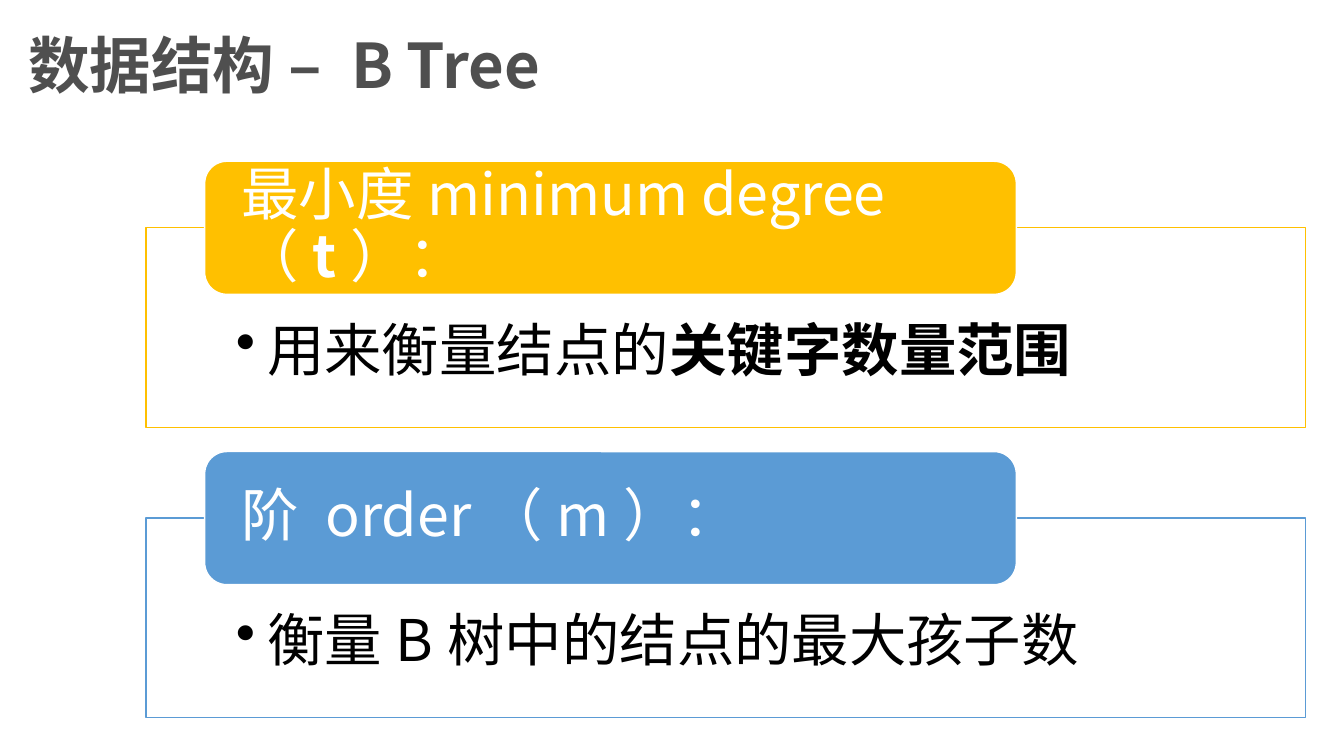
from pptx import Presentation
from pptx.dml.color import RGBColor
from pptx.enum.shapes import MSO_SHAPE as Shape
from pptx.enum.text import MSO_ANCHOR as Anchor, PP_ALIGN as Align
from pptx.oxml.ns import qn
from pptx.util import Inches, Pt
from lxml.etree import SubElement

FONT = "Noto Sans CJK SC"
PANEL_LEFT, PANEL_WIDTH, PANEL_HEIGHT = 1.45, 11.5, 1.98
LABEL_LEFT, LABEL_WIDTH, LABEL_HEIGHT = 2.03, 8.05, 1.32
FIRST_LABEL_TOP, TERM_STEP = 1.6, 2.88

# Each term: accent colour, label runs, definition runs; a run is (text, bold).
TERMS = [
    ("FFC000",
     [("最小度minimum degree（", False), ("t", True), ("）：", False)],
     [("用来衡量结点的", False), ("关键字数量范围", True)]),
    ("5B9BD5",
     [("阶 order（m）：", False)],
     [("衡量B树中的结点的最大孩子数", False)]),
]


def rgb(color):
    return RGBColor.from_string(color)


def write(frame, runs, size, color, anchor, insets):
    """Fill the frame with one paragraph; insets are left, top, right, bottom."""
    frame.word_wrap = True
    frame.vertical_anchor = anchor
    (frame.margin_left, frame.margin_top,
     frame.margin_right, frame.margin_bottom) = map(Inches, insets)
    paragraph = frame.paragraphs[0]
    paragraph.alignment = Align.LEFT
    paragraph.line_spacing = 0.9
    for text, bold in runs:
        run = paragraph.add_run()
        run.text = text
        run.font.size = Pt(size)
        run.font.bold = bold
        run.font.color.rgb = rgb(color)
        run.font.name = FONT
        SubElement(run.font._element, qn("a:ea"), typeface=FONT)
    return paragraph


def add_box(slide, preset, bounds, fill, line):
    box = slide.shapes.add_shape(preset, *map(Inches, bounds))
    box.shadow.inherit = False
    box.fill.solid()
    box.fill.fore_color.rgb = rgb(fill)
    box.line.color.rgb = rgb(line)
    box.line.width = Pt(1)
    return box


def add_bullet(paragraph, indent):
    properties = paragraph._p.get_or_add_pPr()
    properties.set("marL", str(Inches(indent)))
    properties.set("indent", str(Inches(-indent)))
    SubElement(properties, qn("a:buChar"), char="•")


def add_title(slide, text):
    title = slide.shapes.add_textbox(*map(Inches, (0.18, -0.05, 11.5, 1.45)))
    write(title.text_frame, [(text, True)], 44, "4F4F4F", Anchor.MIDDLE,
          (0.1, 0.05, 0.1, 0.05))


def add_term(slide, top, accent, label_runs, definition_runs):
    """Draw a definition panel with its label straddling the top edge."""
    panel_top = top + LABEL_HEIGHT / 2
    panel = add_box(slide, Shape.RECTANGLE,
                    (PANEL_LEFT, panel_top, PANEL_WIDTH, PANEL_HEIGHT),
                    "FFFFFF", accent)
    definition = write(panel.text_frame, definition_runs, 41, "000000",
                       Anchor.TOP, (0.89, 0.93, 0.89, 0.32))
    add_bullet(definition, 0.31)

    label = add_box(slide, Shape.ROUNDED_RECTANGLE,
                    (LABEL_LEFT, top, LABEL_WIDTH, LABEL_HEIGHT),
                    accent, "FFFFFF")
    write(label.text_frame, label_runs, 41, "FFFFFF", Anchor.MIDDLE,
          (0.3, 0, 0.3, 0))


def main():
    deck = Presentation()
    deck.slide_width, deck.slide_height = Inches(13.33), Inches(7.5)
    slide = deck.slides.add_slide(deck.slide_layouts[6])
    add_title(slide, "数据结构 – B Tree")
    for index, term in enumerate(TERMS):
        add_term(slide, FIRST_LABEL_TOP + index * TERM_STEP, *term)
    deck.save("out.pptx")


if __name__ == "__main__":
    main()
